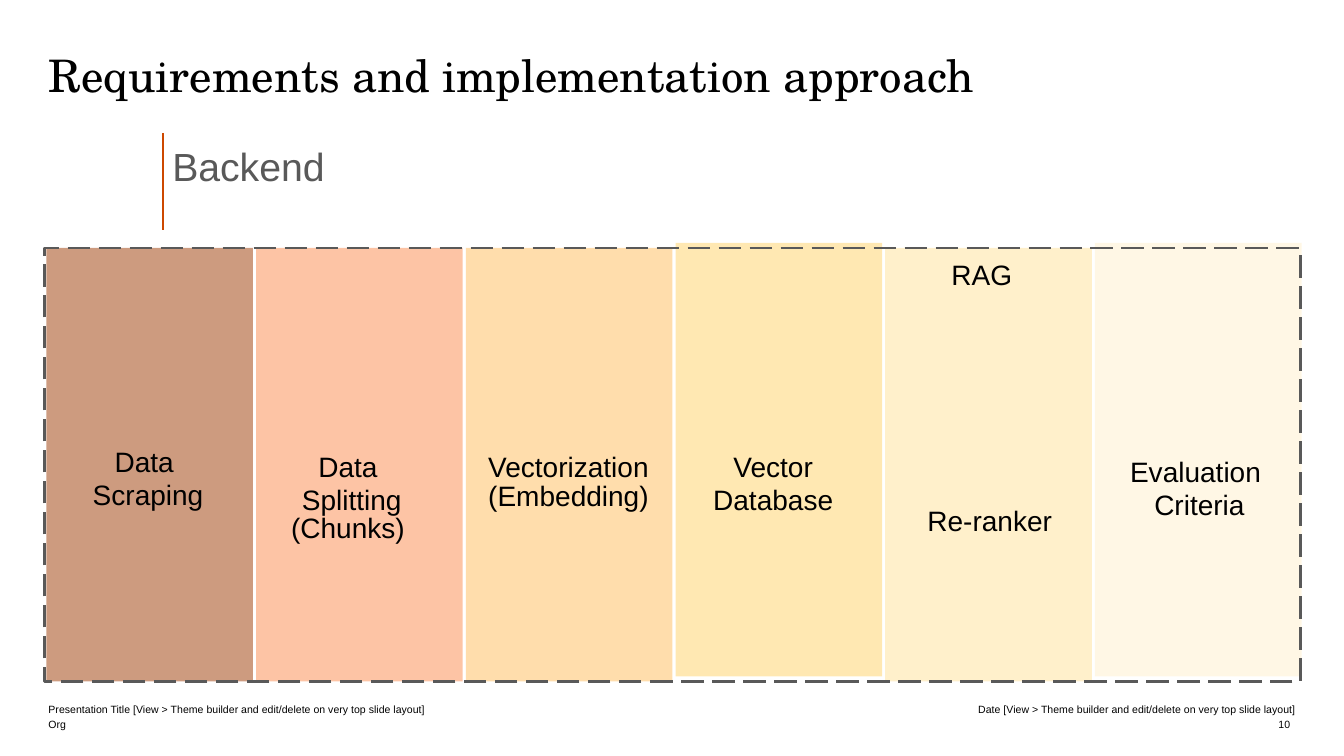
from lxml import etree
from pptx import Presentation
from pptx.dml.color import RGBColor
from pptx.enum.dml import MSO_LINE
from pptx.enum.shapes import MSO_CONNECTOR, MSO_SHAPE
from pptx.enum.text import MSO_ANCHOR, MSO_AUTO_SIZE, PP_ALIGN
from pptx.oxml.ns import qn
from pptx.util import Pt

LEFT, CENTER, RIGHT = PP_ALIGN.LEFT, PP_ALIGN.CENTER, PP_ALIGN.RIGHT
TOP, BOTTOM = MSO_ANCHOR.TOP, MSO_ANCHOR.BOTTOM
BLACK = RGBColor(0x00, 0x00, 0x00)
GREY = RGBColor(0x59, 0x59, 0x59)
ORANGE = RGBColor(0xCD, 0x48, 0x00)
RUST = RGBColor(0x9C, 0x38, 0x01)
CORAL = RGBColor(0xFD, 0x8A, 0x4D)
AMBER = RGBColor(0xFF, 0xBC, 0x5A)
YELLOW = RGBColor(0xFF, 0xD3, 0x66)
SAND = RGBColor(0xFF, 0xE2, 0x99)
CREAM = RGBColor(0xFF, 0xF0, 0xCC)

# Content
TITLE = "Requirements and implementation approach"
SECTION = "Backend"
# Stage columns: colour, distance raised above the frame's top
STAGES = [(RUST, 0), (CORAL, 0), (AMBER, 0), (YELLOW, 3.6), (SAND, 0), (CREAM, 3.6)]
# Stage labels: lines, left, top, width
LABELS = [
    (["Data ", "Scraping"], 15.8, 321.1, 180),
    (["Data ", "Splitting (Chunks) "], 176.4, 324.7, 149.8),
    (["Vectorization (Embedding)"], 316.1, 324.7, 180),
    (["Vector ", "Database "], 465.1, 324.7, 180),
    (["RAG"], 611.3, 187.9, 180),
    (["Re-ranker"], 617, 363.6, 180),
    (["Evaluation ", "Criteria"], 766.8, 328.3, 180),
]
# Footer: text, left, top, width, alignment
FOOTER = [
    ("Org", 34.6, 511.2, 431.3, LEFT),
    ("Presentation Title [View > Theme builder and edit/delete on very top slide layout]",
     34.6, 500.4, 431.3, LEFT),
    ("Date [View > Theme builder and edit/delete on very top slide layout]",
     647.3, 500.4, 277.9, RIGHT),
    ("10", 643.7, 511.2, 277.9, RIGHT),
]

# Column grid
COLUMN_LEFT, COLUMN_WIDTH, COLUMN_PITCH = 33.1, 147.6, 149.8
FRAME_TOP, FRAME_HEIGHT = 177.1, 309.6


def fill_text(box, lines, size, color=BLACK, align=LEFT, anchor=TOP,
              font="Arial", spacing=1.0, after=0):
    frame = box.text_frame
    frame.word_wrap = True
    frame.auto_size = MSO_AUTO_SIZE.NONE
    frame.vertical_anchor = anchor
    frame.margin_left = frame.margin_right = frame.margin_top = frame.margin_bottom = 0
    for number, line in enumerate(lines):
        para = frame.add_paragraph() if number else frame.paragraphs[0]
        para.alignment = align
        para.line_spacing = spacing
        para.space_after = Pt(after)
        span = para.add_run()
        span.text = line
        span.font.name = font
        span.font.size = Pt(size)
        span.font.color.rgb = color


def add_text(page, lines, left, top, width, height, size, **style):
    box = page.shapes.add_textbox(Pt(left), Pt(top), Pt(width), Pt(height))
    fill_text(box, lines, size, **style)


def add_block(page, left, top, width, height):
    block = page.shapes.add_shape(MSO_SHAPE.RECTANGLE, Pt(left), Pt(top),
                                  Pt(width), Pt(height))
    block.shadow.inherit = False
    return block


def main():
    deck = Presentation()
    deck.slide_width, deck.slide_height = Pt(960), Pt(540)
    page = deck.slides.add_slide(deck.slide_layouts[5])

    # Title
    title = page.shapes.title
    title.left, title.top, title.width, title.height = Pt(34.6), Pt(33.8), Pt(889.9), Pt(39.6)
    fill_text(title, [TITLE], 32, font="TeX Gyre Schola")

    # Half-transparent stage columns
    for number, (color, raised) in enumerate(STAGES):
        column = add_block(page, COLUMN_LEFT + number * COLUMN_PITCH,
                           FRAME_TOP - raised, COLUMN_WIDTH, FRAME_HEIGHT)
        column.fill.solid()
        column.fill.fore_color.rgb = color
        tint = column.fill._xPr.find(".//" + qn("a:srgbClr"))
        etree.SubElement(tint, qn("a:alpha"), val="50000")
        column.line.fill.background()

    # Dashed frame
    border = add_block(page, 31.7, FRAME_TOP, 897.1, FRAME_HEIGHT)
    border.fill.background()
    border.line.color.rgb = GREY
    border.line.width = Pt(2)
    border.line.dash_style = MSO_LINE.LONG_DASH

    # Section heading with its vertical rule
    add_text(page, [SECTION], 123.1, 106.6, 180, 37.4, 28,
             color=GREY, spacing=0.85, after=3)
    rule = page.shapes.add_connector(MSO_CONNECTOR.STRAIGHT, Pt(116.6), Pt(95),
                                     Pt(116.6), Pt(164.2))
    rule.line.color.rgb = ORANGE
    rule.line.width = Pt(1.5)
    etree.SubElement(rule._element.spPr, qn("a:effectLst"))

    # Stage labels
    for lines, left, top, width in LABELS:
        add_text(page, lines, left, top, width, 37.4, 20,
                 align=CENTER, spacing=0.85, after=3)

    # Footer
    for text, left, top, width, align in FOOTER:
        add_text(page, [text], left, top, width, 10.8, 7.5, align=align, anchor=BOTTOM)

    deck.save("out.pptx")


if __name__ == "__main__":
    main()
